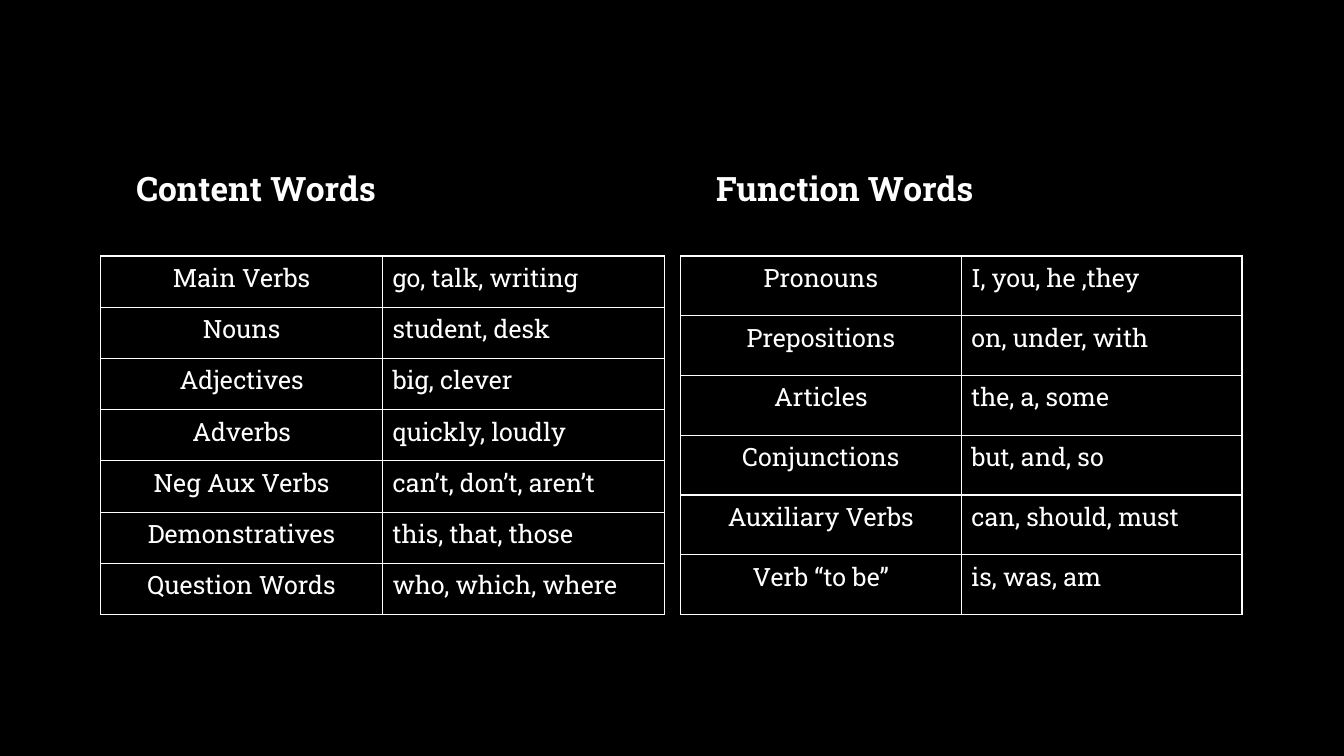
from dataclasses import dataclass

import pptx
import pptx.dml.color
import pptx.enum.text
import pptx.oxml
import pptx.oxml.ns
import pptx.util
from pptx.util import Cm


@dataclass(frozen=True)
class Theme:
    background = pptx.dml.color.RGBColor(0, 0, 0)
    ink = pptx.dml.color.RGBColor(255, 255, 255)
    typeface = "Roboto Slab"
    heading_size = pptx.util.Pt(24)
    word_size = pptx.util.Pt(18)
    border_width = pptx.util.Pt(1)


theme = Theme()


def style_font(paragraph, size, bold=False):
    paragraph.font.name = theme.typeface
    paragraph.font.size = size
    paragraph.font.bold = bold
    paragraph.font.color.rgb = theme.ink


def add_borders(cell):
    properties = cell._tc.get_or_add_tcPr()
    for side in ("lnL", "lnR", "lnT", "lnB"):
        properties.append(pptx.oxml.parse_xml(
            f'<a:{side} {pptx.oxml.ns.nsdecls("a")} w="{theme.border_width}">'
            f'<a:solidFill><a:srgbClr val="{theme.ink}"/></a:solidFill></a:{side}>'))


# Word classes: heading, heading placeholder, left edge, width, examples
word_groups = [
    ("Content Words", 1, Cm(2.54), Cm(14.2), [
        ("Main Verbs", "go, talk, writing"),
        ("Nouns", "student, desk"),
        ("Adjectives", "big, clever"),
        ("Adverbs", "quickly, loudly"),
        ("Neg Aux Verbs", "can’t, don’t, aren’t"),
        ("Demonstratives", "this, that, those"),
        ("Question Words", "who, which, where"),
    ]),
    ("Function Words", 3, Cm(17.15), Cm(14.15), [
        ("Pronouns", "I, you, he ,they"),
        ("Prepositions", "on, under, with"),
        ("Articles", "the, a, some"),
        ("Conjunctions", "but, and, so"),
        ("Auxiliary Verbs", "can, should, must"),
        ("Verb “to be”", "is, was, am"),
    ]),
]

# Slide with the two headings of the comparison layout
deck = pptx.Presentation()
deck.slide_width, deck.slide_height = Cm(33.87), Cm(19.05)
slide = deck.slides.add_slide(deck.slide_layouts[4])
slide.background.fill.solid()
slide.background.fill.fore_color.rgb = theme.background
headings = {}
for placeholder in list(slide.placeholders):
    position = placeholder.placeholder_format.idx
    if position in (1, 3):
        headings[position] = placeholder
    else:
        placeholder.element.getparent().remove(placeholder.element)

heading_indent = Cm(0.64)
table_height = Cm(9.04)

for title, position, left, width, examples in word_groups:
    # Heading
    heading = headings[position]
    heading.left, heading.top = left + heading_indent, Cm(3.56)
    heading.width, heading.height = width - heading_indent, Cm(1.83)
    heading.text_frame.text = title
    heading.text_frame.vertical_anchor = pptx.enum.text.MSO_ANCHOR.BOTTOM
    heading_line = heading.text_frame.paragraphs[0]
    heading_line.space_before = pptx.util.Pt(0)
    heading_line.line_spacing = 0.9
    style_font(heading_line, theme.heading_size, bold=True)

    # Table of word classes and examples
    word_table = slide.shapes.add_table(
        len(examples), 2, left, Cm(6.45), width, table_height).table
    word_table.first_row = word_table.horz_banding = False
    for row, entry in enumerate(examples):
        for column, words in enumerate(entry):
            cell = word_table.cell(row, column)
            cell.text = words
            add_borders(cell)
            cell.fill.background()
            cell_line = cell.text_frame.paragraphs[0]
            style_font(cell_line, theme.word_size)
            if column == 0:
                cell_line.alignment = pptx.enum.text.PP_ALIGN.CENTER

deck.save("out.pptx")
